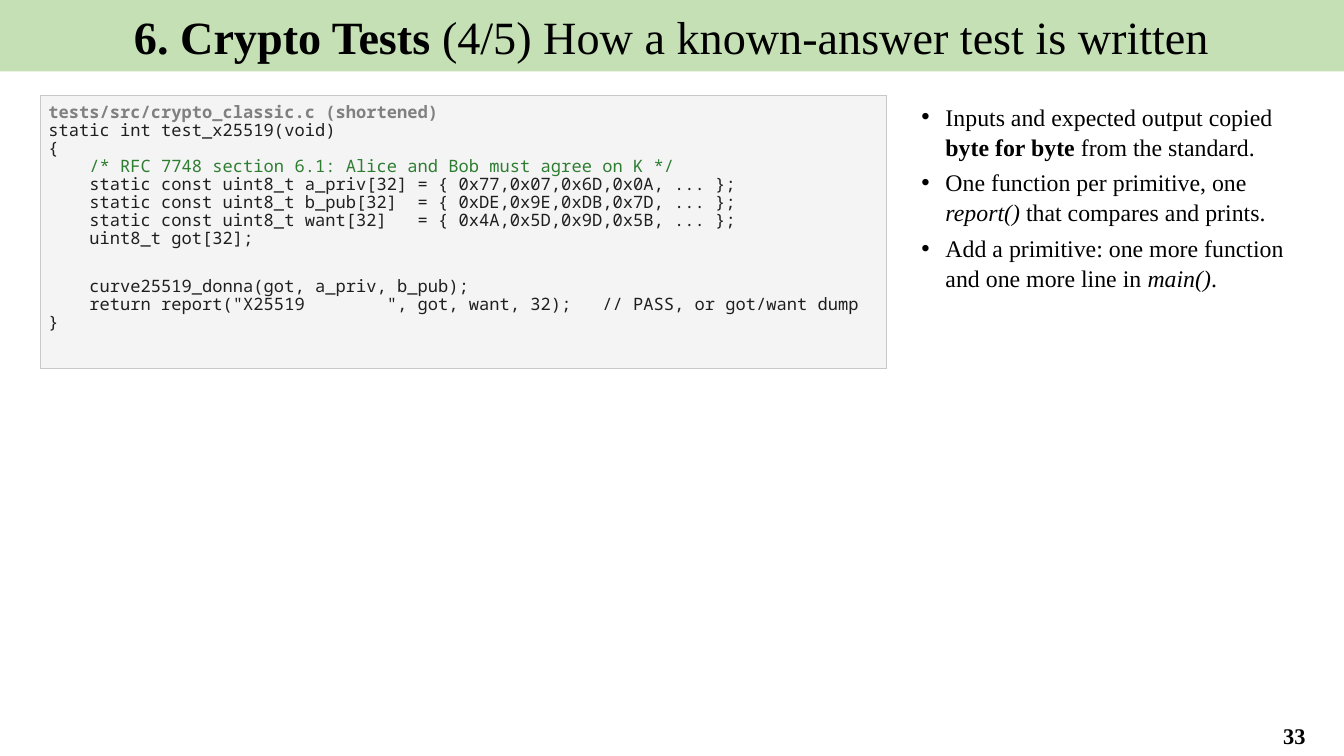
from lxml.etree import SubElement
from pptx import Presentation
from pptx.dml.color import RGBColor
from pptx.enum.shapes import MSO_SHAPE
from pptx.enum.text import MSO_ANCHOR, MSO_AUTO_SIZE, PP_ALIGN
from pptx.oxml.ns import qn
from pptx.util import Pt

CODE = """static int test_x25519(void)
{
    /* RFC 7748 section 6.1: Alice and Bob must agree on K */
    static const uint8_t a_priv[32] = { 0x77,0x07,0x6D,0x0A, ... };
    static const uint8_t b_pub[32]  = { 0xDE,0x9E,0xDB,0x7D, ... };
    static const uint8_t want[32]   = { 0x4A,0x5D,0x9D,0x5B, ... };
    uint8_t got[32];

    curve25519_donna(got, a_priv, b_pub);
    return report("X25519        ", got, want, 32);   // PASS, or got/want dump
}"""

POINTS = [
    [("Inputs and expected output copied ", ""), ("byte for byte", "b"), (" from the standard.", "")],
    [("One function per primitive, one ", ""), ("report()", "i"), (" that compares and prints.", "")],
    [("Add a primitive: one more function and one more line in ", ""), ("main()", "i"), (".", "")],
]


def color(value):
    """Turn a hex string into a colour."""
    return RGBColor.from_string(value)


class SlideBuilder:
    """Hold the style and the current slide, and add each kind of element."""

    serif = "Times New Roman"
    mono = "Noto Sans Mono"
    black = "000000"
    band = "C5E0B4"
    panel = "F4F4F4"
    panel_line = "C8C8C8"
    code_color = "1F1F1F"
    comment_color = "2E7D32"
    caption_color = "808080"

    def __init__(self, presentation):
        """Add a slide with a title and a body."""
        self.slide = presentation.slides.add_slide(presentation.slide_layouts[1])

    def place(self, shape, left, top, width, height):
        """Move and size a shape."""
        shape.left, shape.top = Pt(left), Pt(top)
        shape.width, shape.height = Pt(width), Pt(height)

    def frame(self, shape, anchor, horizontal=7.2, vertical=3.6, wrap=True):
        """Set up the text frame of a shape and return it."""
        frame = shape.text_frame
        frame.auto_size = MSO_AUTO_SIZE.NONE
        frame.word_wrap = wrap
        frame.vertical_anchor = anchor
        frame.margin_left = frame.margin_right = Pt(horizontal)
        frame.margin_top = frame.margin_bottom = Pt(vertical)
        return frame

    def paragraph(self, frame, index):
        """Return the first paragraph of a frame or a new one."""
        return frame.add_paragraph() if index else frame.paragraphs[0]

    def run(self, paragraph, text, size, font=serif, fill=black, style=""):
        """Add a run, with b for bold and i for italic in its style."""
        run = paragraph.add_run()
        run.text = text
        run.font.name, run.font.size = font, Pt(size)
        run.font.bold, run.font.italic = "b" in style, "i" in style
        run.font.color.rgb = color(fill)

    def title(self, section, topic):
        """Fill the title band."""
        shape = self.slide.shapes.title
        self.place(shape, -0.5, 0, 960.5, 51)
        shape.fill.solid()
        shape.fill.fore_color.rgb = color(self.band)
        paragraph = self.frame(shape, MSO_ANCHOR.MIDDLE).paragraphs[0]
        paragraph.alignment = PP_ALIGN.CENTER
        self.run(paragraph, section, 33, style="b")
        self.run(paragraph, topic, 33)

    def code(self, caption, source):
        """Add a code panel under a caption."""
        shape = self.slide.shapes.add_shape(
            MSO_SHAPE.RECTANGLE, Pt(28.8), Pt(68.4), Pt(604.8), Pt(195.1))
        shape.shadow.inherit = False
        shape.fill.solid()
        shape.fill.fore_color.rgb = color(self.panel)
        shape.line.color.rgb = color(self.panel_line)
        shape.line.width = Pt(0.75)
        frame = self.frame(shape, MSO_ANCHOR.TOP, 5.76, 5.76, wrap=False)
        gap = 0
        for index, line in enumerate([caption] + source.splitlines()):
            if not line:
                gap = 21.6
                continue
            paragraph = self.paragraph(frame, index)
            paragraph.alignment = PP_ALIGN.LEFT
            paragraph.line_spacing = 0.88
            paragraph.space_before = Pt(gap)
            gap = 0
            comment = line.lstrip().startswith("/*")
            fill = self.comment_color if comment else self.code_color
            if index == 0:
                fill = self.caption_color
            self.run(paragraph, line, 12.2, self.mono, fill, "" if index else "b")

    def bullets(self, points):
        """Fill the body with bulleted points."""
        shape = self.slide.placeholders[1]
        self.place(shape, 648, 68.4, 295.2, 396)
        frame = self.frame(shape, MSO_ANCHOR.TOP)
        for index, point in enumerate(points):
            paragraph = self.paragraph(frame, index)
            paragraph.line_spacing = 1.05
            paragraph.space_before, paragraph.space_after = Pt(0), Pt(4)
            properties = paragraph._p.get_or_add_pPr()
            properties.set("marL", str(Pt(20.16)))
            properties.set("indent", str(Pt(-17.28)))
            SubElement(properties, qn("a:buFont"), typeface="Arial")
            SubElement(properties, qn("a:buChar"), char="•")
            for text, style in point:
                self.run(paragraph, text, 17, style=style)

    def page_number(self, number):
        """Add the page number."""
        shape = self.slide.shapes.add_textbox(Pt(889.2), Pt(511.2), Pt(70.6), Pt(28))
        paragraph = self.frame(shape, MSO_ANCHOR.MIDDLE).paragraphs[0]
        paragraph.alignment = PP_ALIGN.CENTER
        self.run(paragraph, number, 16, style="b")


def main():
    """Build and save the slide."""
    presentation = Presentation()
    presentation.slide_width, presentation.slide_height = Pt(960), Pt(540)
    builder = SlideBuilder(presentation)
    builder.title("6. Crypto Tests ", "(4/5) How a known-answer test is written")
    builder.code("tests/src/crypto_classic.c (shortened)", CODE)
    builder.bullets(POINTS)
    builder.page_number("33")
    presentation.save("out.pptx")


if __name__ == "__main__":
    main()
